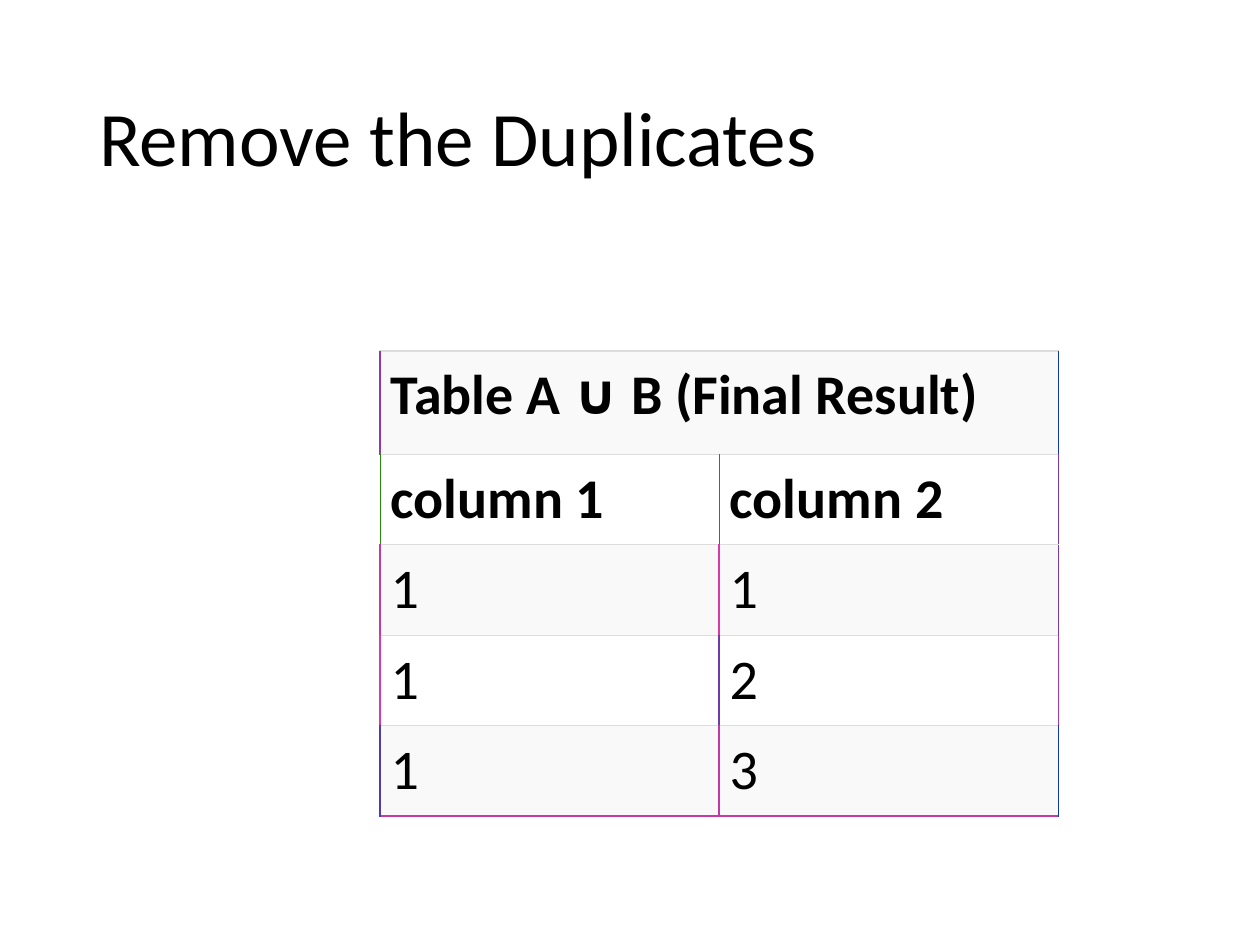
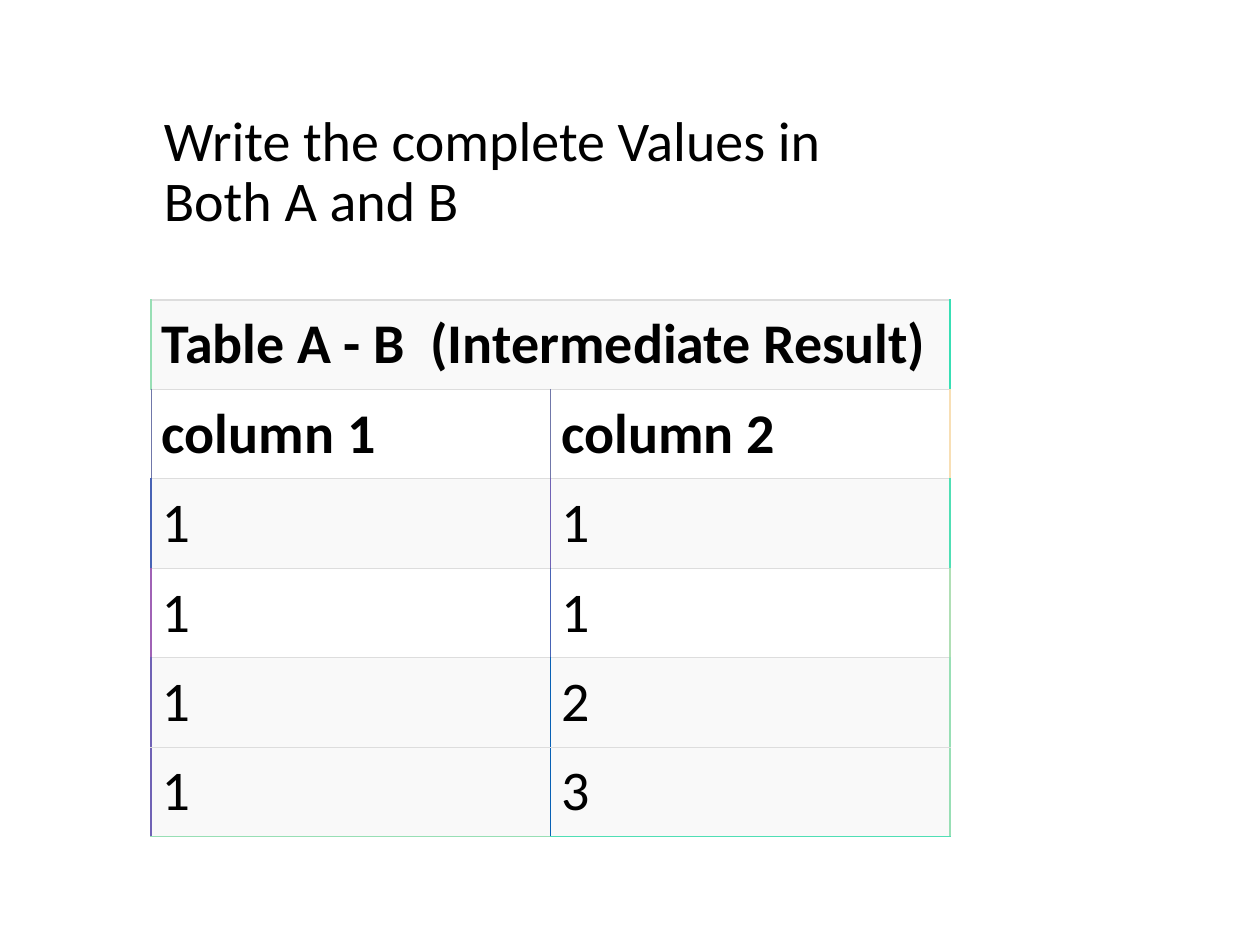
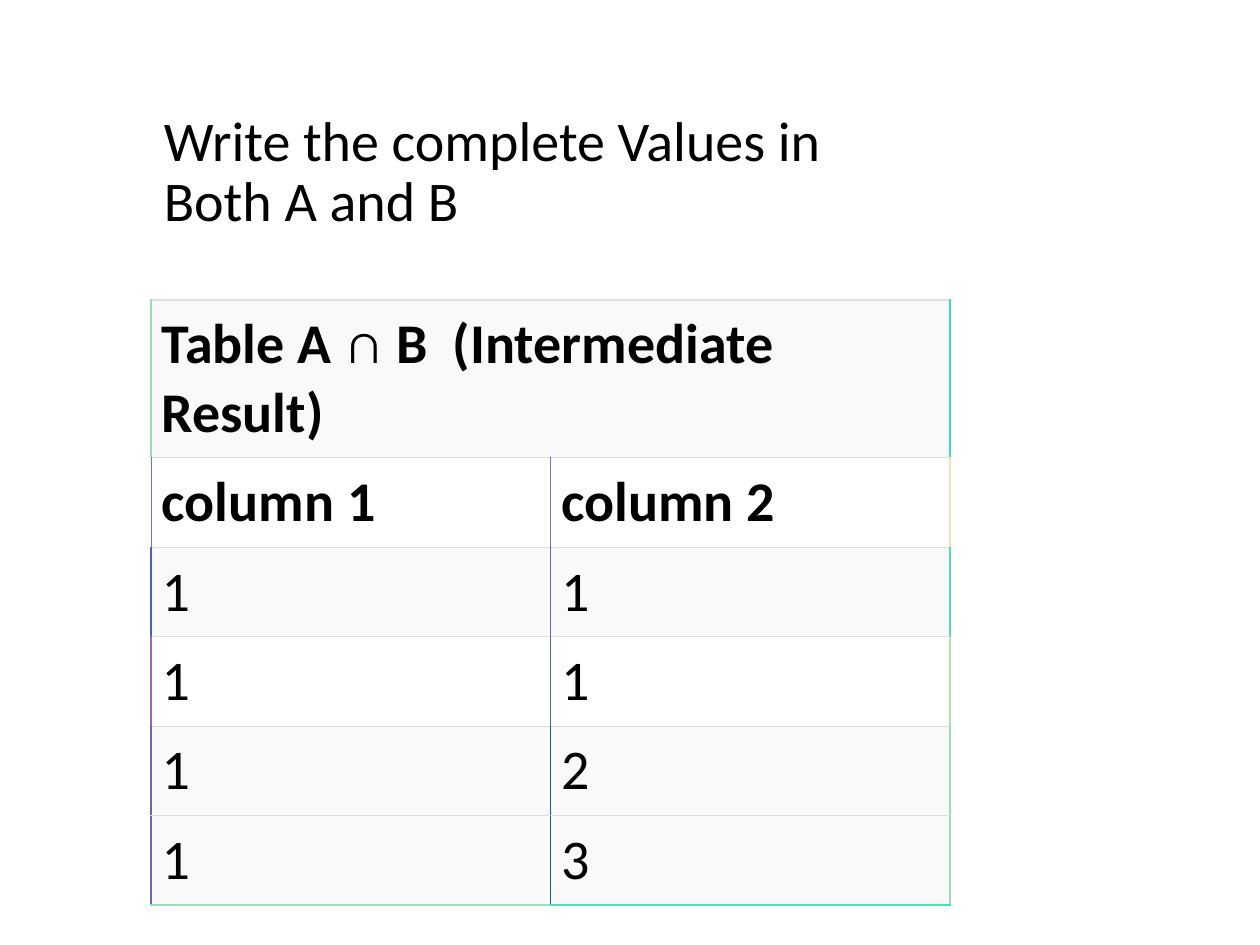
from dataclasses import dataclass

from lxml import etree
from pptx import Presentation
from pptx.dml.color import RGBColor
from pptx.enum import text as tx
from pptx.oxml import ns
from pptx.util import Pt


@dataclass(frozen=True)
class Theme:
    font: str = "Calibri"
    ink: str = "000000"
    stripe: str = "F9F9F9"
    plain: str = "FFFFFF"
    rule: str = "DDDDDD"
    title_size: float = 44
    text_size: float = 32
    inset: float = 6
    thin: float = 0.75
    thick: float = 1


THEME = Theme()
COLUMN_NAMES = ("column 1", "column 2")

# Vertical rules of each row: left edge, column divider, right edge
UNION_RULES = [
    ("903AA7", None, "1039A7"),
    ("28880E", "28880E", "8038A7"),
    ("C03AA7", "D83AA7", "8038A7"),
    ("D83AA7", "7039A7", "A83AA7"),
    ("503BA7", "C03AA7", "1039A7"),
]
UNION_BASE = ("C838A7", "C838A7")
INTERMEDIATE_RULES = [
    ("98DFB5", None, "38DFB5"),
    ("7077A9", "7077A9", "F8DFB5"),
    ("4863B5", "7062B5", "50DFB5"),
    ("A062B5", "4863B5", "B0DFB5"),
    ("7062B5", "0861B5", "98DFB5"),
    ("7062B5", "0861B5", "98DFB5"),
]
INTERMEDIATE_BASE = ("98DFB5", "50DFB5")
THIN_RULES = {THEME.rule, "28880E", "7077A9"}


def write(frame, content, size=THEME.text_size, bold=False, spacing=None):
    """Fill a frame with a string, or with (string, bold) pairs."""
    paragraph = frame.paragraphs[0]
    paragraph.alignment = tx.PP_ALIGN.LEFT
    if spacing:
        paragraph.line_spacing = spacing
    pieces = [(content, bold)] if isinstance(content, str) else content
    for words, is_bold in pieces:
        run = paragraph.add_run()
        run.text = words
        run.font.name = THEME.font
        run.font.size = Pt(size)
        run.font.bold = is_bold
        run.font.color.rgb = RGBColor.from_string(THEME.ink)


def add_title(slide, box, wording, size):
    title = slide.shapes.title
    title.left, title.top, title.width, title.height = map(Pt, box)
    frame = title.text_frame
    frame.word_wrap = True
    frame.auto_size = tx.MSO_AUTO_SIZE.NONE
    frame.vertical_anchor = tx.MSO_ANCHOR.MIDDLE
    write(frame, wording, size=size, spacing=0.9)


def set_borders(cell, left, right, top, bottom):
    properties = cell._tc.get_or_add_tcPr()
    for side, color in zip("LRTB", (left, right, top, bottom)):
        if color is None:
            continue
        weight = THEME.thin if color in THIN_RULES else THEME.thick
        line = etree.SubElement(properties, ns.qn(f"a:ln{side}"), w=str(Pt(weight)))
        fill = etree.SubElement(line, ns.qn("a:solidFill"))
        etree.SubElement(fill, ns.qn("a:srgbClr"), val=color)


def style_cell(cell, fill):
    cell.fill.solid()
    cell.fill.fore_color.rgb = RGBColor.from_string(fill)
    cell.margin_left = cell.margin_right = Pt(THEME.inset)
    cell.margin_top = cell.margin_bottom = Pt(THEME.inset)
    cell.vertical_anchor = tx.MSO_ANCHOR.TOP


def add_result_table(slide, box, heading, values, rules, base, heading_height, row_height):
    """Place a merged heading, the column names and the values at (left, top, width)."""
    left, top, width = box
    rows = [(heading, ""), COLUMN_NAMES, *values]
    last = len(rows) - 1
    height = heading_height + last * row_height
    table = slide.shapes.add_table(
        len(rows), 2, Pt(left), Pt(top), Pt(width), Pt(height)).table
    table.first_row = table.horz_banding = False
    for row_index, (row, (start, divider, end)) in enumerate(zip(rows, rules)):
        table.rows[row_index].height = Pt(row_height if row_index else heading_height)
        fill = THEME.stripe if row_index % 2 == 0 or row_index == last else THEME.plain
        # The merged heading takes its right edge from its first cell
        sides = [(start, divider or end), (divider, end)]
        for column_index, wording in enumerate(row):
            cell = table.cell(row_index, column_index)
            bottom = base[column_index] if row_index == last else THEME.rule
            set_borders(cell, *sides[column_index], THEME.rule, bottom)
            style_cell(cell, fill)
            if wording:
                write(cell.text_frame, wording, bold=row_index < 2)
    table.cell(0, 0).merge(table.cell(0, 1))


def union_slide(slide):
    add_title(slide, (49.5, 28.75, 621, 104.4), "Remove the Duplicates", THEME.title_size)
    add_result_table(
        slide, (217.2, 200.6, 387.6), "Table A ∪ B (Final Result)",
        [("1", "1"), ("1", "2"), ("1", "3")],
        UNION_RULES, UNION_BASE, heading_height=59.2, row_height=51.6)


def intermediate_slide(slide, heading, heading_height):
    add_title(slide, (86.4, 46.8, 391.7, 104.4),
              "Write the complete Values in Both A and B", THEME.text_size)
    add_result_table(
        slide, (86.4, 171.4, 456.5), heading,
        [("1", "1"), ("1", "1"), ("1", "2"), ("1", "3")],
        INTERMEDIATE_RULES, INTERMEDIATE_BASE, heading_height, row_height=51.1)


def main():
    deck = Presentation()
    deck.slide_width, deck.slide_height = Pt(720), Pt(540)
    title_only = deck.slide_layouts[5]

    union_slide(deck.slides.add_slide(title_only))
    intermediate_slide(deck.slides.add_slide(title_only),
                       "Table A - B  (Intermediate Result)", 51.1)
    intermediate_slide(deck.slides.add_slide(title_only),
                       [("Table A ", True), ("∩", False),
                        (" B  (Intermediate Result)", True)], 90.2)
    deck.save("out.pptx")


if __name__ == "__main__":
    main()
